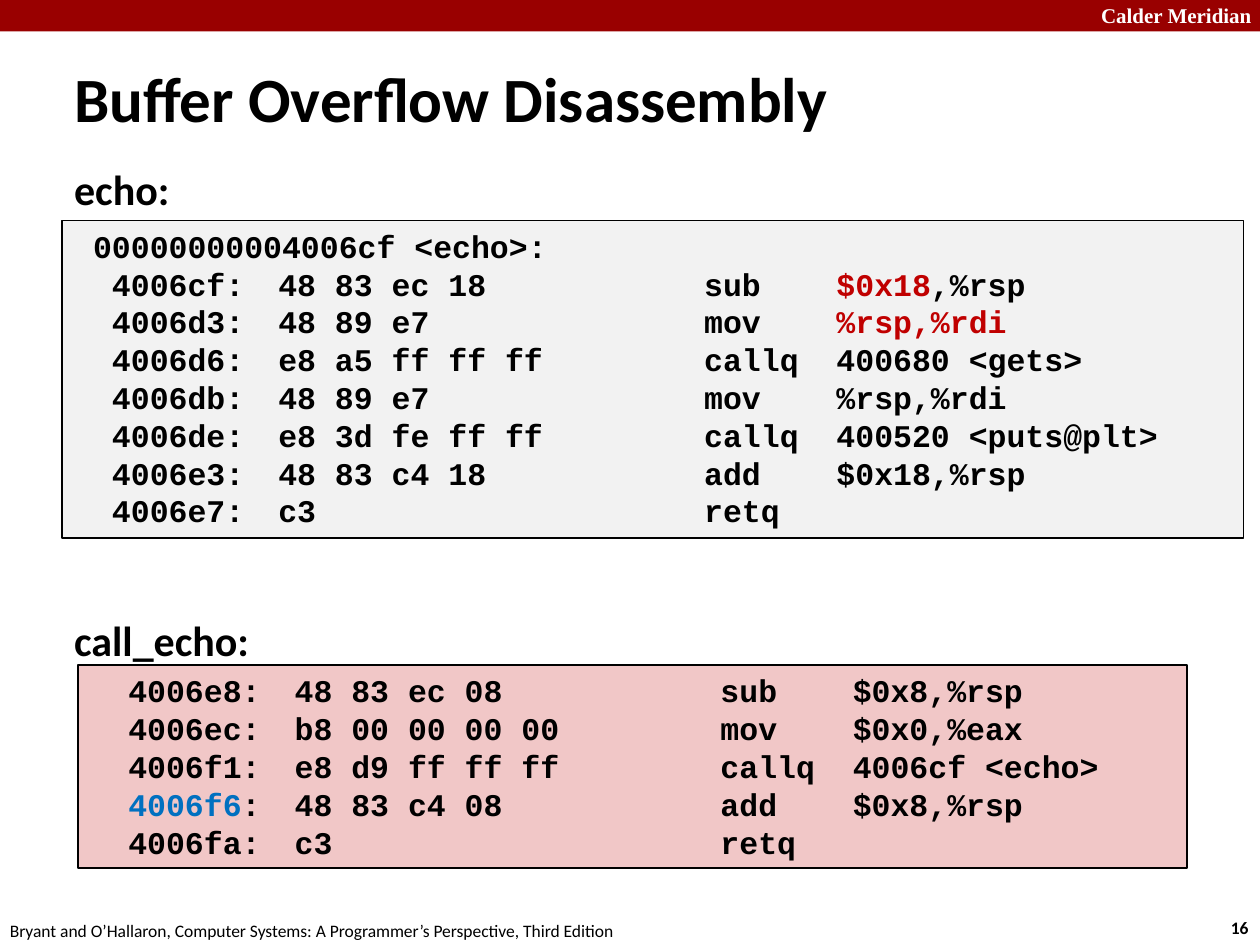
from lxml.etree import SubElement
from pptx import Presentation
from pptx.dml.color import RGBColor
from pptx.enum.shapes import MSO_SHAPE
from pptx.enum.text import MSO_ANCHOR, PP_ALIGN
from pptx.oxml.ns import qn
from pptx.util import Inches, Pt

COLORS = {
    "black": "000000", "white": "FFFFFF", "banner": "990000", "red": "C00000",
    "blue": "0070C0", "gray": "F2F2F2", "pink": "F1C7C7",
}
CODE_TABS = (0.3, 1.62, 5, 6.05)

prs = Presentation()
prs.slide_width, prs.slide_height = Inches(10), Inches(7.5)
s = prs.slides.add_slide(prs.slide_layouts[6])


def add_text(text, box, size, font="Calibri", color="black", bold=True, fill=None,
             wrap=False, anchor=MSO_ANCHOR.TOP, tabs=(), marks={}):
    box = [Inches(v) for v in box]
    if fill:
        sp = s.shapes.add_shape(MSO_SHAPE.RECTANGLE, *box)
        sp.shadow.inherit = False
        sp.fill.solid()
        sp.fill.fore_color.rgb = RGBColor.from_string(COLORS[fill])
        sp.line.color.rgb = RGBColor.from_string(COLORS["black"])
        sp.line.width = Pt(1)
    else:
        sp = s.shapes.add_textbox(*box)
    tf = sp.text_frame
    tf.word_wrap = wrap
    tf.vertical_anchor = anchor
    for i, line in enumerate(text.split("\n")):
        p = tf.paragraphs[0] if i == 0 else tf.add_paragraph()
        p.alignment = PP_ALIGN.LEFT
        if tabs:
            tab_list = SubElement(p._p.get_or_add_pPr(), qn("a:tabLst"))
            for tab in tabs:
                SubElement(tab_list, qn("a:tab"), pos=str(Inches(tab)), algn="l")
        mark, mark_color = marks.get(i, ("", color))
        before, mark, after = line.partition(mark) if mark else (line, "", "")
        for part, name in ((before, color), (mark, mark_color), (after, color)):
            if part:
                r = p.add_run()
                r.text = part
                r.font.name, r.font.size, r.font.bold = font, Pt(size), bold
                r.font.color.rgb = RGBColor.from_string(COLORS[name])


banner = s.shapes.add_shape(MSO_SHAPE.RECTANGLE, 0, 0, prs.slide_width, Inches(0.25))
banner.shadow.inherit = False
banner.fill.solid()
banner.fill.fore_color.rgb = RGBColor.from_string(COLORS["banner"])
banner.line.fill.background()

add_text("Calder Meridian", (8.64, -0.03, 1.43, 0.3), 12, font="Times New Roman", color="white")
add_text("16", (9.67, 7.23, 0.37, 0.27), 10)
add_text("Bryant and O’Hallaron, Computer Systems: A Programmer’s Perspective, Third Edition",
         (-0.02, 7.25, 5.08, 0.27), 10, bold=False)
add_text("Buffer Overflow Disassembly", (0.49, 0.46, 7.76, 0.63), 36,
         wrap=True, anchor=MSO_ANCHOR.MIDDLE)

echo_code = """ 00000000004006cf <echo>:
\t4006cf:\t48 83 ec 18\tsub\t$0x18,%rsp
\t4006d3:\t48 89 e7\tmov\t%rsp,%rdi
\t4006d6:\te8 a5 ff ff ff\tcallq\t400680 <gets>
\t4006db:\t48 89 e7\tmov\t%rsp,%rdi
\t4006de:\te8 3d fe ff ff\tcallq\t400520 <puts@plt>
\t4006e3:\t48 83 c4 18\tadd\t$0x18,%rsp
\t4006e7:\tc3\tretq"""
call_echo_code = """\t4006e8:\t48 83 ec 08\tsub\t$0x8,%rsp
\t4006ec:\tb8 00 00 00 00\tmov\t$0x0,%eax
\t4006f1:\te8 d9 ff ff ff\tcallq\t4006cf <echo>
\t4006f6:\t48 83 c4 08\tadd\t$0x8,%rsp
\t4006fa:\tc3\tretq"""

listings = [
    (echo_code, (0.49, 1.75, 9.38, 2.52), "gray", {1: ("$0x18", "red"), 2: ("%rsp,%rdi", "red")}),
    (call_echo_code, (0.62, 5.28, 8.8, 1.61), "pink", {3: ("4006f6", "blue")}),
]
for code, box, fill, marks in listings:
    add_text(code, box, 18, font="Courier New", fill=fill, wrap=True, tabs=CODE_TABS, marks=marks)

for label, top, width in (("call_echo:", 4.83, 1.61), ("echo:", 1.25, 0.97)):
    add_text(label, (0.49, top, width, 0.5), 24)

prs.save("out.pptx")
